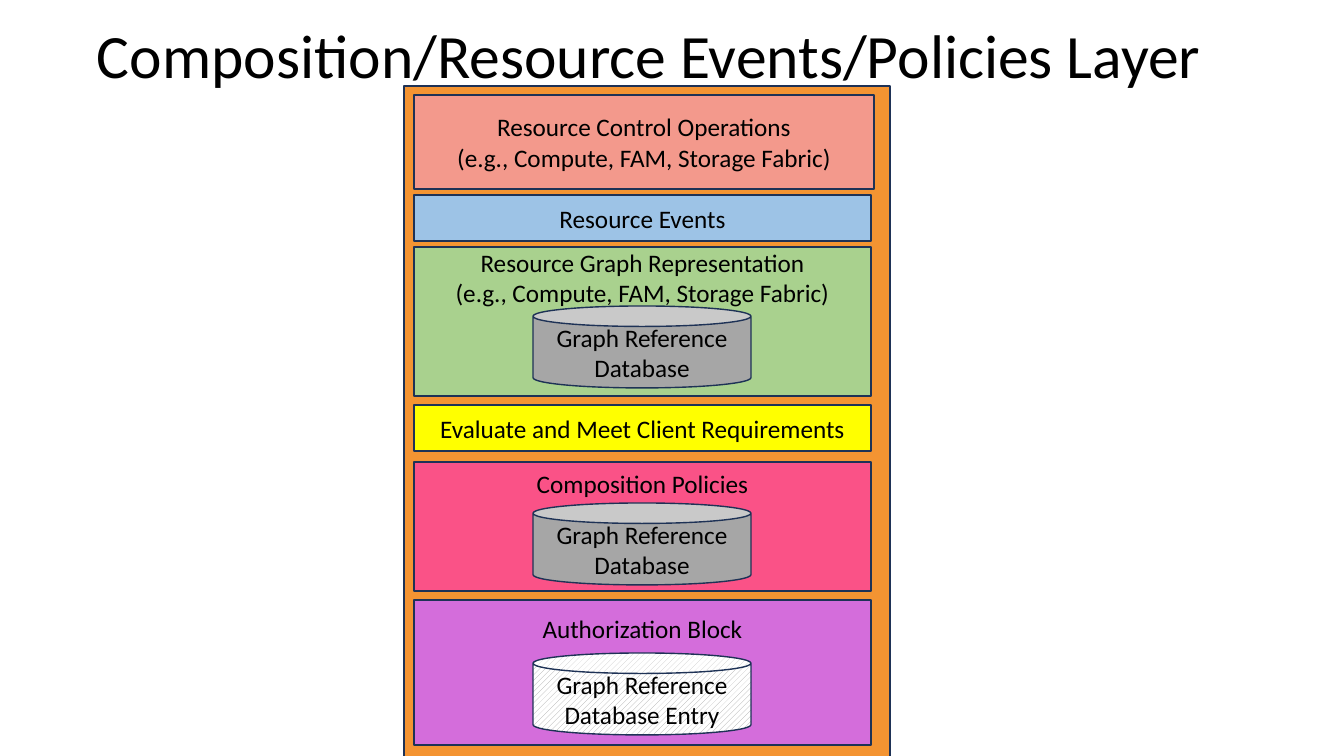
import pptx
import pptx.util
import pptx.dml.color
import pptx.enum.dml
import pptx.enum.shapes
import pptx.enum.text

PX = 914400 / 100.8
FONT = "Calibri"
COLORS = {
    "text": "000000", "edge": "1E3256", "frame": "F49432",
    "control": "F3998C", "events": "9DC3E6", "graph": "A9D18E",
    "client": "FFFF00", "policy": "FA5287", "auth": "D46DDB",
    "store": "A6A6A6", "white": "FFFFFF",
}
KIND = pptx.enum.shapes.MSO_SHAPE
ANCHOR = pptx.enum.text.MSO_ANCHOR


def color(name):
    return pptx.dml.color.RGBColor.from_string(COLORS[name])


def write(shape, text, size, inset=None):
    """Centre the text; an inset pins it that far below the top edge."""
    frame = shape.text_frame
    frame.word_wrap = True
    frame.vertical_anchor = ANCHOR.MIDDLE
    if inset is not None:
        frame.vertical_anchor = ANCHOR.TOP
        frame.margin_top = round(inset * PX)
    frame.text = text
    for par in frame.paragraphs:
        par.alignment = pptx.enum.text.PP_ALIGN.CENTER
        for run in par.runs:
            run.font.name = FONT
            run.font.size = pptx.util.Pt(size)
            run.font.color.rgb = color("text")


deck = pptx.Presentation()
deck.slide_width = round(1344 * PX)
deck.slide_height = round(756 * PX)
slide = deck.slides.add_slide(deck.slide_layouts[6])

# Title
title = slide.shapes.add_textbox(*[round(n * PX) for n in (70, 9, 1159, 99)])
write(title, "Composition/Resource Events/Policies Layer", 44)
title.text_frame.paragraphs[0].line_spacing = 0.9

# Frame, layer blocks and databases: kind, box, fill, text, text inset
SCOPE = "(e.g., Compute, FAM, Storage Fabric)"
STORE = "Graph Reference Database"
parts = [
    (KIND.RECTANGLE, (404, 86, 486, 672), "frame", "", None),
    (KIND.RECTANGLE, (414, 95, 460, 94), "control",
     "Resource Control Operations\n" + SCOPE, None),
    (KIND.RECTANGLE, (414, 195, 457, 46), "events", "Resource Events", None),
    (KIND.RECTANGLE, (414, 247, 457, 149), "graph",
     "Resource Graph Representation\n" + SCOPE, 0),
    (KIND.RECTANGLE, (414, 405, 457, 46), "client",
     "Evaluate and Meet Client Requirements", None),
    (KIND.RECTANGLE, (414, 462, 457, 129), "policy", "Composition Policies", 6),
    (KIND.RECTANGLE, (414, 600, 457, 145), "auth", "Authorization Block", 13),
    (KIND.CAN, (533, 306, 218, 82), "store", STORE, None),
    (KIND.CAN, (533, 503, 218, 82), "store", STORE, None),
    (KIND.CAN, (533, 653, 218, 82), "store", STORE + " Entry", None),
]
for kind, box, fill, text, inset in parts:
    shape = slide.shapes.add_shape(kind, *[round(n * PX) for n in box])
    shape.shadow.inherit = False
    shape.fill.solid()
    shape.fill.fore_color.rgb = color(fill)
    shape.line.color.rgb = color("edge")
    shape.line.width = pptx.util.Pt(1)
    if text:
        write(shape, text, 18, inset)

# The last database, the entry, is hatched
shape.fill.patterned()
shape.fill.pattern = pptx.enum.dml.MSO_PATTERN.WIDE_UPWARD_DIAGONAL
shape.fill.fore_color.rgb = color("store")
shape.fill.back_color.rgb = color("white")

deck.save("out.pptx")
